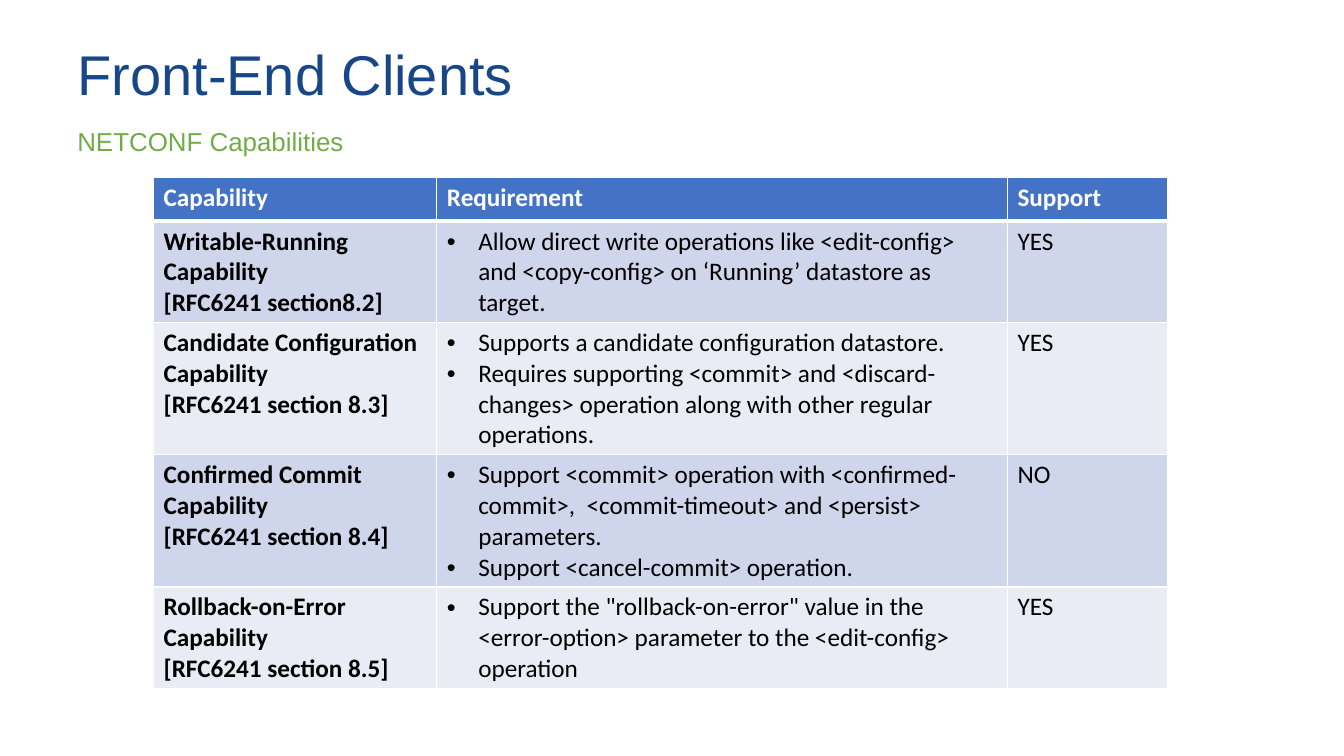
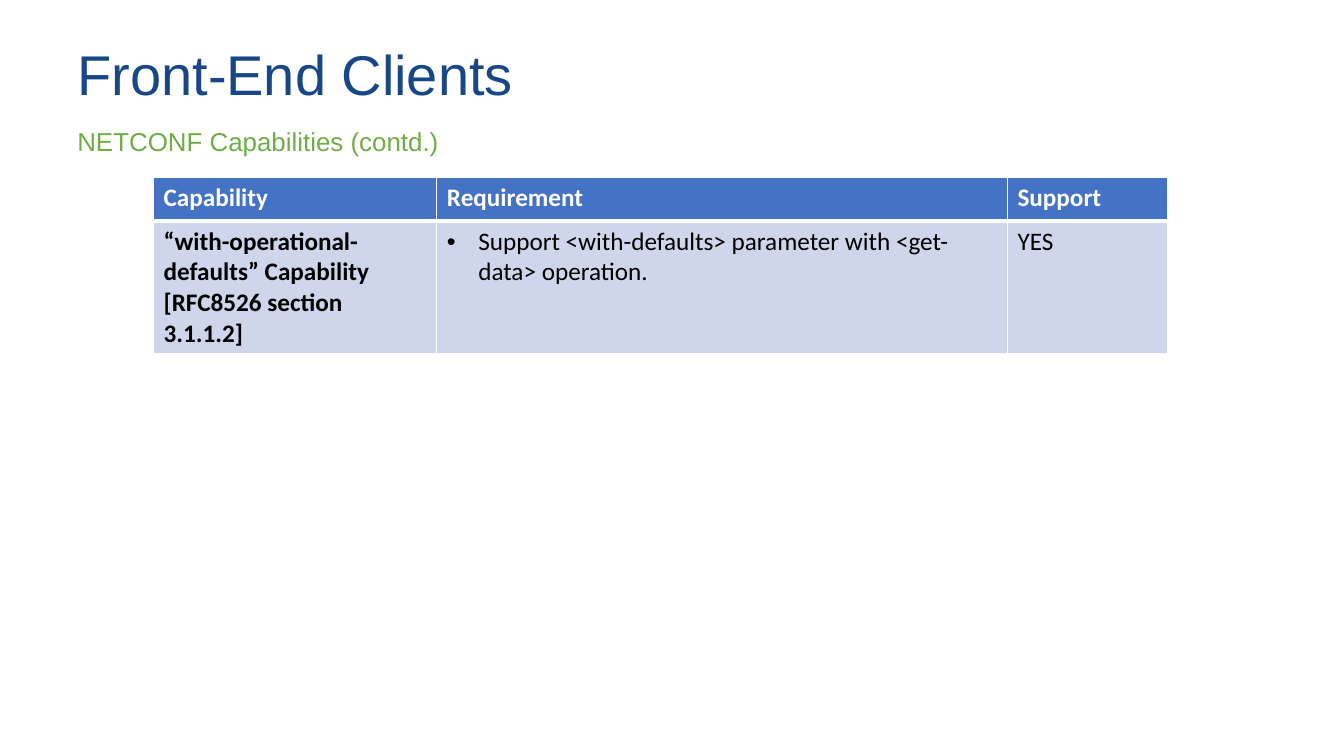
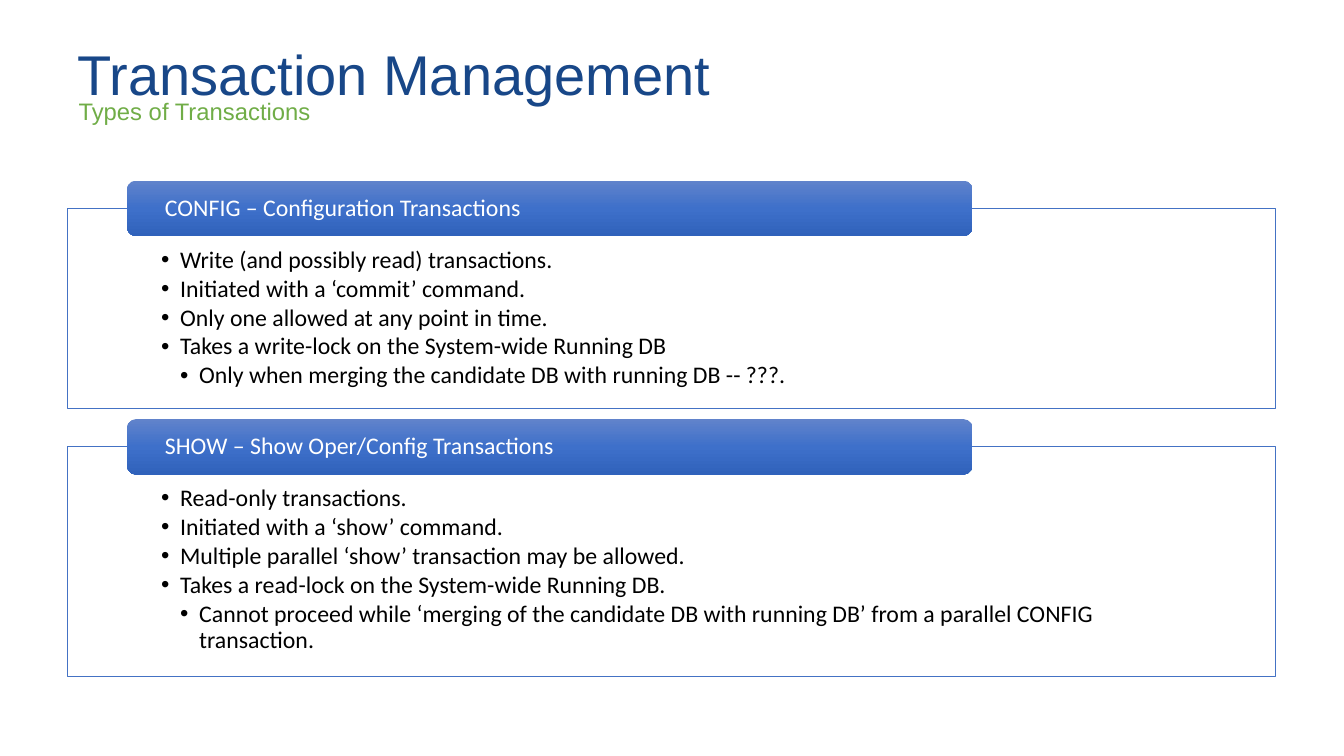
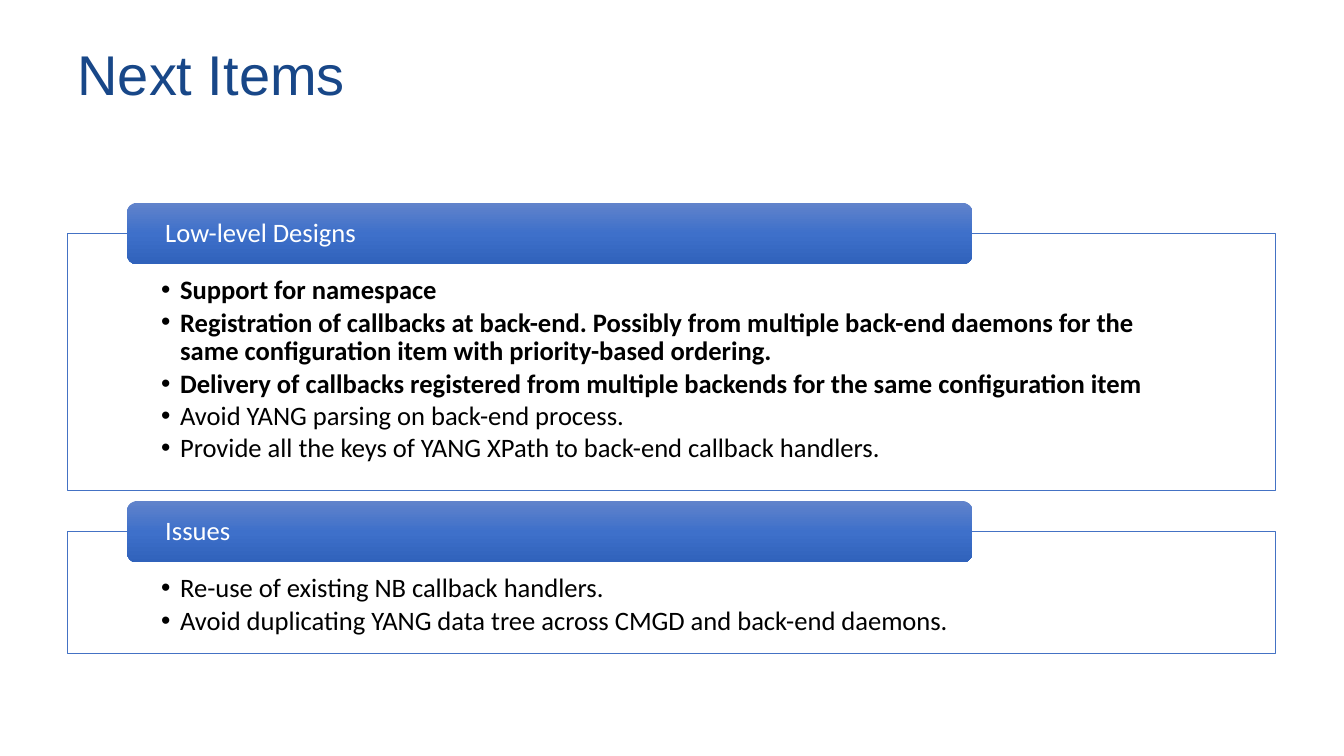
from dataclasses import dataclass
from lxml import etree
from pptx import Presentation
from pptx import util as u
from pptx.dml.color import RGBColor
from pptx.enum import shapes, text
from pptx.oxml.ns import qn


@dataclass(frozen=True)
class Theme:
    title: str = "184788"
    sub: str = "70AD47"
    blue: str = "4472C4"
    white: str = "FFFFFF"
    black: str = "000000"
    bands: tuple[str, ...] = ("CFD5EA", "E9EBF5")
    shades: tuple[tuple[int, str], ...] = ((0, "6183CB"), (50, "3E70CA"), (100, "3062BB"))
    head: str = "Arial"
    body: str = "Calibri"
    big: float = 40
    cell: float = 18


@dataclass(frozen=True)
class Sub:
    words: str
    left: float
    top: float
    size: float
    space: float


@dataclass(frozen=True)
class Row:
    name: tuple[str, ...]
    needs: tuple[str, ...]
    support: str
    lines: int


@dataclass(frozen=True)
class Item:
    words: str
    level: int = 1
    bold: bool = False


@dataclass(frozen=True)
class Panel:
    label: str
    height: float
    items: tuple[Item, ...]


@dataclass(frozen=True)
class Stack:
    top: float
    size: float
    tab: float
    inset: float
    panels: tuple[Panel, ...]


THEME = Theme()
LEFT, WIDE = 1.7, 30.45
COLS = (7.14, 14.38, 4.04)
HEADS = ("Capability", "Requirement", "Support")
STEP = 0.48
GAP = 0.26

BASE_ROWS = (
    Row(("Writable-Running Capability", "[RFC6241 section8.2]"),
        ("Allow direct write operations like <edit-config> and <copy-config> on ‘Running’ datastore as target.",),
        "YES", 3),
    Row(("Candidate Configuration Capability", "[RFC6241 section 8.3]"),
        ("Supports a candidate configuration datastore.",
         "Requires supporting <commit> and <discard-changes> operation along with other regular operations."),
        "YES", 4),
    Row(("Confirmed Commit Capability", "[RFC6241 section 8.4]"),
        ("Support <commit> operation with <confirmed-commit>,  <commit-timeout> and <persist> parameters.",
         "Support <cancel-commit> operation."),
        "NO", 4),
    Row(("Rollback-on-Error Capability", "[RFC6241 section 8.5]"),
        ('Support the "rollback-on-error" value in the <error-option> parameter to the <edit-config> operation',),
        "YES", 3),
)
MORE_ROWS = (
    Row(("“with-operational-defaults” Capability", "[RFC8526 section 3.1.1.2]"),
        ("Support <with-defaults> parameter with <get-data> operation.",),
        "YES", 4),
)
TYPES = Stack(4.55, 17, 1.4, 0.99, (
    Panel("CONFIG – Configuration Transactions", 5.05, (
        Item("Write (and possibly read) transactions."),
        Item("Initiated with a ‘commit’ command."),
        Item("Only one allowed at any point in time."),
        Item("Takes a write-lock on the System-wide Running DB"),
        Item("Only when merging the candidate DB with running DB -- ???.", 2))),
    Panel("SHOW – Show Oper/Config Transactions", 5.79, (
        Item("Read-only transactions."),
        Item("Initiated with a ‘show’ command."),
        Item("Multiple parallel ‘show’ transaction may be allowed."),
        Item("Takes a read-lock on the System-wide Running DB."),
        Item("Cannot proceed while ‘merging of the candidate DB with running DB’ "
             "from a parallel CONFIG transaction.", 2))),
))
NEXT = Stack(5.11, 19, 1.55, 1.09, (
    Panel("Low-level Designs", 6.48, (
        Item("Support for namespace", bold=True),
        Item("Registration of callbacks at back-end. Possibly from multiple back-end daemons "
             "for the same configuration item with priority-based ordering.", bold=True),
        Item("Delivery of callbacks registered from multiple backends "
             "for the same configuration item", bold=True),
        Item("Avoid YANG parsing on back-end process."),
        Item("Provide all the keys of YANG XPath to back-end callback handlers."))),
    Panel("Issues", 3.07, (
        Item("Re-use of existing NB callback handlers."),
        Item("Avoid duplicating YANG data tree across CMGD and back-end daemons."))),
))


def rgb(color: str) -> RGBColor:
    return RGBColor.from_string(color)


def write(para, words: str, size: float, color: str, face: str = THEME.body,
          bold: bool = False) -> None:
    run = para.add_run()
    run.text = words
    run.font.size = u.Pt(size)
    run.font.name = face
    run.font.bold = bold
    run.font.color.rgb = rgb(color)
    para.alignment = text.PP_ALIGN.LEFT


def bullet(para, left: float, hang: float) -> None:
    props = para._p.get_or_add_pPr()
    props.set("marL", str(u.Cm(left)))
    props.set("indent", str(-u.Cm(hang)))
    etree.SubElement(props, qn("a:buFont"), typeface=THEME.head)
    etree.SubElement(props, qn("a:buChar"), char="•")


def next_para(frame, index: int):
    return frame.add_paragraph() if index else frame.paragraphs[0]


def add_slide(deck, title: str, sub: Sub | None = None):
    slide = deck.slides.add_slide(deck.slide_layouts[5])
    head = slide.shapes.title
    head.left, head.top, head.width, head.height = (
        u.Cm(v) for v in (LEFT, 1.02, WIDE, 1.85))
    frame = head.text_frame
    frame.word_wrap = True
    frame.auto_size = text.MSO_AUTO_SIZE.NONE
    frame.vertical_anchor = text.MSO_ANCHOR.MIDDLE
    para = frame.paragraphs[0]
    para.line_spacing = 0.9
    write(para, title, THEME.big, THEME.title, THEME.head)
    if sub:
        box = slide.shapes.add_textbox(u.Cm(sub.left), u.Cm(sub.top), u.Cm(WIDE), u.Cm(0.97))
        box.text_frame.word_wrap = True
        para = box.text_frame.paragraphs[0]
        para.line_spacing = sub.space
        write(para, sub.words, sub.size, THEME.sub, THEME.head)
    return slide


def fill_cell(cell, lines: tuple[str, ...], fill: str, color: str, bold: bool,
              dots: bool = False, base: float = 1) -> None:
    props = cell._tc.get_or_add_tcPr()
    for side, width in (("L", 1), ("R", 1), ("T", 1), ("B", base)):
        line = etree.SubElement(props, qn(f"a:ln{side}"), w=str(u.Pt(width)))
        solid = etree.SubElement(line, qn("a:solidFill"))
        etree.SubElement(solid, qn("a:srgbClr"), val=THEME.white)
    cell.fill.solid()
    cell.fill.fore_color.rgb = rgb(fill)
    for i, words in enumerate(lines):
        para = next_para(cell.text_frame, i)
        if dots:
            bullet(para, 0.79, 0.79)
        write(para, words, THEME.cell, color, bold=bold)


def add_grid(slide, rows: tuple[Row, ...]) -> None:
    tall = [1.09] + [0.25 + 0.77 * row.lines for row in rows]
    grid = slide.shapes.add_table(len(tall), len(COLS), u.Cm(3.87), u.Cm(4.48),
                                  u.Cm(sum(COLS)), u.Cm(sum(tall))).table
    for col, width in zip(grid.columns, COLS):
        col.width = u.Cm(width)
    for line, height in zip(grid.rows, tall):
        line.height = u.Cm(height)
    for i, head in enumerate(HEADS):
        fill_cell(grid.cell(0, i), (head,), THEME.blue, THEME.white, True, base=3)
    for i, row in enumerate(rows):
        band = THEME.bands[i % 2]
        for j, lines in enumerate((row.name, row.needs, (row.support,))):
            fill_cell(grid.cell(i + 1, j), lines, band, THEME.black, j == 0, dots=j == 1)


def add_block(slide, kind, left: float, top: float, width: float, height: float,
              pad: float, head: float = 0, foot: float = 0):
    block = slide.shapes.add_shape(kind, u.Cm(left), u.Cm(top), u.Cm(width), u.Cm(height))
    block.shadow.inherit = False
    frame = block.text_frame
    frame.word_wrap = True
    frame.margin_left = frame.margin_right = u.Cm(pad)
    frame.margin_top, frame.margin_bottom = u.Cm(head), u.Cm(foot)
    return block


def add_panel(slide, panel: Panel, top: float, stack: Stack) -> None:
    body = add_block(slide, shapes.MSO_SHAPE.RECTANGLE, LEFT, top, WIDE, panel.height,
                     2.36, stack.inset, 0.35)
    body.fill.solid()
    body.fill.fore_color.rgb = rgb(THEME.white)
    tint = body._element.spPr.find(qn("a:solidFill")).find(qn("a:srgbClr"))
    etree.SubElement(tint, qn("a:alpha"), val="90000")
    body.line.color.rgb = rgb(THEME.blue)
    body.line.width = u.Pt(0.5)
    body.text_frame.vertical_anchor = text.MSO_ANCHOR.TOP
    for i, item in enumerate(panel.items):
        para = next_para(body.text_frame, i)
        para.level = item.level
        bullet(para, STEP * item.level, STEP)
        para.line_spacing = 0.9
        para.space_after = u.Pt(0.135 * stack.size)
        write(para, item.words, stack.size, THEME.black, bold=item.bold)


def add_tab(slide, label: str, top: float, stack: Stack) -> None:
    tab = add_block(slide, shapes.MSO_SHAPE.ROUNDED_RECTANGLE, 3.2, top, 21.31, stack.tab, 0.89)
    tab.fill.gradient()
    tab.fill.gradient_angle = 270
    stops = tab._element.spPr.find(qn("a:gradFill")).find(qn("a:gsLst"))
    stops.clear()
    for place, color in THEME.shades:
        stop = etree.SubElement(stops, qn("a:gs"), pos=str(place * 1000))
        etree.SubElement(stop, qn("a:srgbClr"), val=color)
    tab.line.fill.background()
    tab.text_frame.vertical_anchor = text.MSO_ANCHOR.MIDDLE
    para = tab.text_frame.paragraphs[0]
    para.line_spacing = 0.9
    write(para, label, stack.size, THEME.white)


def add_stack(slide, stack: Stack) -> None:
    top = stack.top
    for panel in stack.panels:
        edge = top + stack.tab / 2
        add_panel(slide, panel, edge, stack)
        add_tab(slide, panel.label, top, stack)
        top = edge + panel.height + GAP


def main() -> None:
    deck = Presentation()
    deck.slide_width, deck.slide_height = u.Cm(33.87), u.Cm(19.05)
    for words, rows in (("NETCONF Capabilities", BASE_ROWS),
                        ("NETCONF Capabilities (contd.)", MORE_ROWS)):
        add_grid(add_slide(deck, "Front-End Clients", Sub(words, LEFT, 3.2, 18.5, 0.8)), rows)
    types = Sub("Types of Transactions", 1.73, 2.39, 17, 0.9)
    add_stack(add_slide(deck, "Transaction Management", types), TYPES)
    add_stack(add_slide(deck, "Next Items"), NEXT)
    deck.save("out.pptx")


if __name__ == "__main__":
    main()
